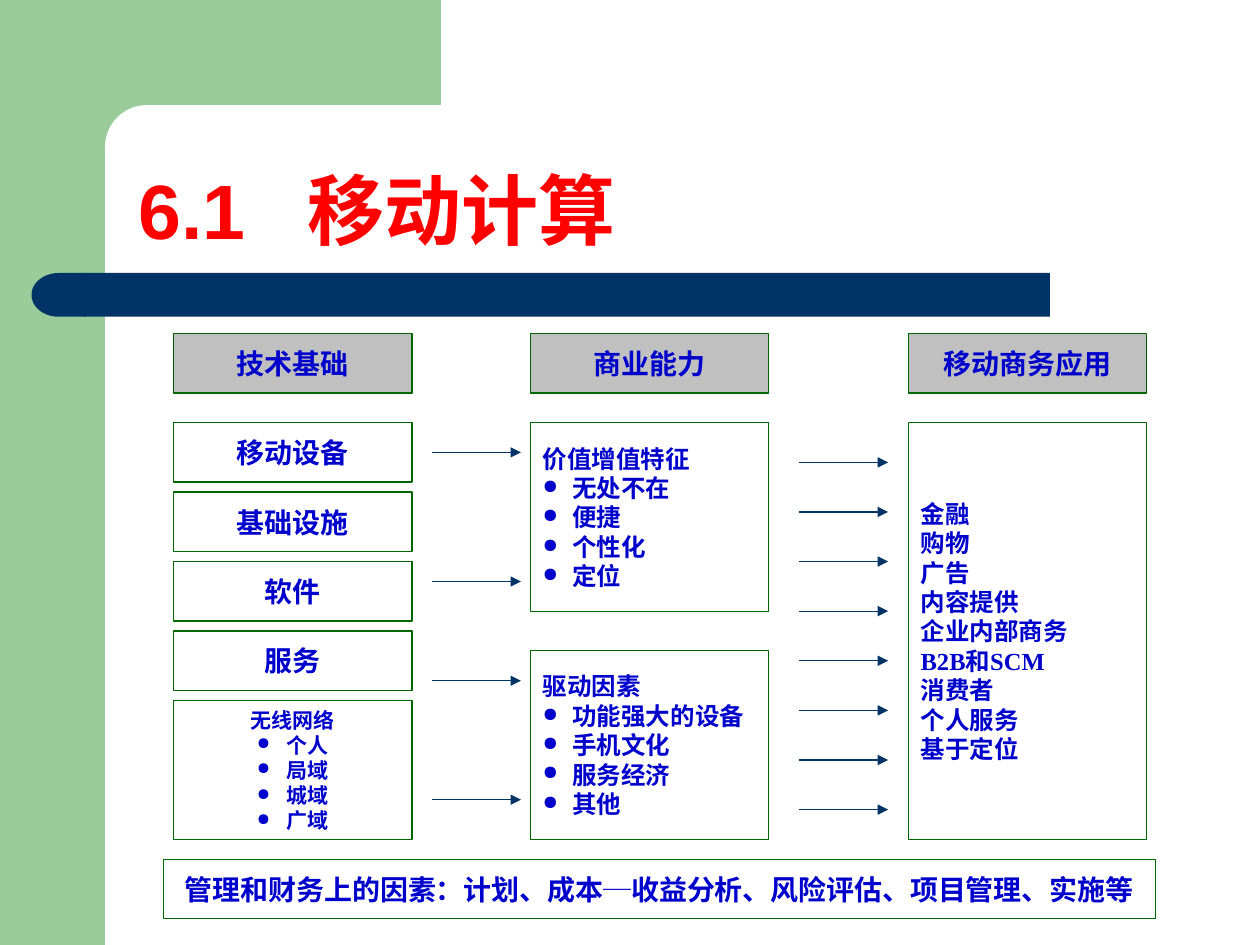
from lxml import etree
from pptx import Presentation
from pptx.dml.color import RGBColor
from pptx.enum.shapes import MSO_CONNECTOR, MSO_SHAPE
from pptx.enum.text import MSO_ANCHOR, MSO_AUTO_SIZE, PP_ALIGN
from pptx.oxml.ns import qn
from pptx.util import Pt

RECT = MSO_SHAPE.RECTANGLE
ROUNDED = MSO_SHAPE.ROUNDED_RECTANGLE
DELAY = MSO_SHAPE.FLOWCHART_DELAY
STRAIGHT = MSO_CONNECTOR.STRAIGHT
CENTER, LEFT = PP_ALIGN.CENTER, PP_ALIGN.LEFT
MIDDLE, BOTTOM = MSO_ANCHOR.MIDDLE, MSO_ANCHOR.BOTTOM
NO_AUTOFIT = MSO_AUTO_SIZE.NONE


def color(hex_string):
    return RGBColor.from_string(hex_string)


def add_element(parent, tag, **attributes):
    return etree.SubElement(parent, qn(tag), attributes)


class SlideBuilder:
    green, navy, white = "99CC99", "003366", "FFFFFF"
    red, blue, border, gray = "FF0000", "0000CC", "006600", "C0C0C0"
    heading_font, body_font = "Arial", "Times New Roman"
    bullet_indent = 17

    def __init__(self, slide):
        self.slide = slide

    def style(self, paragraph, font_name, size, hex_string):
        font = paragraph.font
        font.name = font_name
        font.size = Pt(size)
        font.bold = True
        font.color.rgb = color(hex_string)

    def shape(self, kind, left, top, width, height, fill=None):
        shape = self.slide.shapes.add_shape(kind, Pt(left), Pt(top), Pt(width), Pt(height))
        shape.shadow.inherit = False
        shape.line.fill.background()
        if fill:
            shape.fill.solid()
            shape.fill.fore_color.rgb = color(fill)
        else:
            shape.fill.background()
        return shape

    def title(self, number, heading, left, top, width, height, tab_stop):
        title = self.slide.shapes.title
        self.slide.shapes._spTree.append(title._element)
        title.left, title.top = Pt(left), Pt(top)
        title.width, title.height = Pt(width), Pt(height)
        frame = title.text_frame
        frame.auto_size = NO_AUTOFIT
        frame.vertical_anchor = BOTTOM
        frame.text = f"{number}\t{heading}"
        paragraph = frame.paragraphs[0]
        paragraph.alignment = LEFT
        paragraph.line_spacing = 0.9
        tabs = add_element(paragraph._p.get_or_add_pPr(), "a:tabLst")
        add_element(tabs, "a:tab", pos=str(Pt(tab_stop)), algn="l")
        self.style(paragraph, self.heading_font, 44, self.red)

    def bullet(self, paragraph):
        properties = paragraph._p.get_or_add_pPr()
        indent = Pt(self.bullet_indent)
        properties.set("marL", str(indent))
        properties.set("indent", str(-indent))
        bullet_color = add_element(properties, "a:buClr")
        add_element(bullet_color, "a:srgbClr", val=self.blue)
        add_element(properties, "a:buSzPct", val="80000")
        add_element(properties, "a:buChar", char="●")

    def box(self, left, top, width, height, lines, bullets=(), size=16, align=CENTER, fill=None):
        box = self.shape(RECT, left, top, width, height, fill)
        box.line.color.rgb = color(self.border)
        box.line.width = Pt(0.75)
        frame = box.text_frame
        frame.word_wrap = True
        frame.vertical_anchor = MIDDLE
        frame.text = "\n".join([*lines, *bullets])
        for index, paragraph in enumerate(frame.paragraphs):
            paragraph.alignment = align
            if index >= len(lines):
                self.bullet(paragraph)
            self.style(paragraph, self.body_font, size, self.blue)

    def arrow(self, start, end, y):
        arrow = self.slide.shapes.add_connector(STRAIGHT, Pt(start), Pt(y), Pt(end), Pt(y))
        arrow.line.color.rgb = color(self.navy)
        arrow.line.width = Pt(0.75)
        add_element(arrow.line._get_or_add_ln(), "a:tailEnd", type="triangle")
        add_element(arrow._element.spPr, "a:effectLst")


def main():
    presentation = Presentation()
    presentation.slide_width, presentation.slide_height = Pt(720), Pt(540)
    slide = presentation.slides.add_slide(presentation.slide_layouts[5])
    build = SlideBuilder(slide)

    build.shape(RECT, 0, 0, 60, 540, build.green)
    build.shape(RECT, 54, 0, 198, 84, build.green)
    panel = build.shape(ROUNDED, 60, 60, 402, 48, build.white)
    panel.adjustments[0] = 0.5
    build.shape(RECT, 48, 156, 552, 25, build.navy)
    bar_end = build.shape(DELAY, 18, 156, 31, 25, build.navy)
    bar_end.rotation = 180
    build.title("6.1", "移动计算", 72, 60, 630, 90, tab_stop=96.5)

    technology, capability, application = 99.2, 303, 519
    box_width, row_height, row_step = 136.2, 34, 39.7
    body_top, body_bottom = 241.5, 479.7

    headers = {technology: "技术基础", capability: "商业能力", application: "移动商务应用"}
    for left, header in headers.items():
        build.box(left, 190.7, box_width, row_height, [header], fill=build.gray)

    foundations = ["移动设备", "基础设施", "软件", "服务"]
    for row, foundation in enumerate(foundations):
        build.box(technology, body_top + row * row_step, box_width, row_height, [foundation])
    network_top = body_top + len(foundations) * row_step
    build.box(technology, network_top, box_width, body_bottom - network_top,
              ["无线网络"], ["个人", "局域", "城域", "广域"], size=12)

    build.box(93.5, 491, 567, row_height,
              ["管理和财务上的因素：计划、成本─收益分析、风险评估、项目管理、实施等"])

    capability_height = 108
    capabilities = [
        (body_top, "价值增值特征", ["无处不在", "便捷", "个性化", "定位"]),
        (body_bottom - capability_height, "驱动因素",
         ["功能强大的设备", "手机文化", "服务经济", "其他"]),
    ]
    for top, heading, points in capabilities:
        build.box(capability, top, box_width, capability_height, [heading], points,
                  size=14, align=LEFT)

    applications = ["金融", "购物", "广告", "内容提供", "企业内部商务",
                    "B2B和SCM", "消费者", "个人服务", "基于定位"]
    build.box(application, body_top, box_width, body_bottom - body_top, applications,
              size=14, align=LEFT)

    for y in (258.5, 332.3, 389, 457):
        build.arrow(246.7, 297.7, y)
    for step in range(8):
        build.arrow(456.5, 507.5, 264.2 + step * 28.35)

    presentation.save("out.pptx")


if __name__ == "__main__":
    main()
